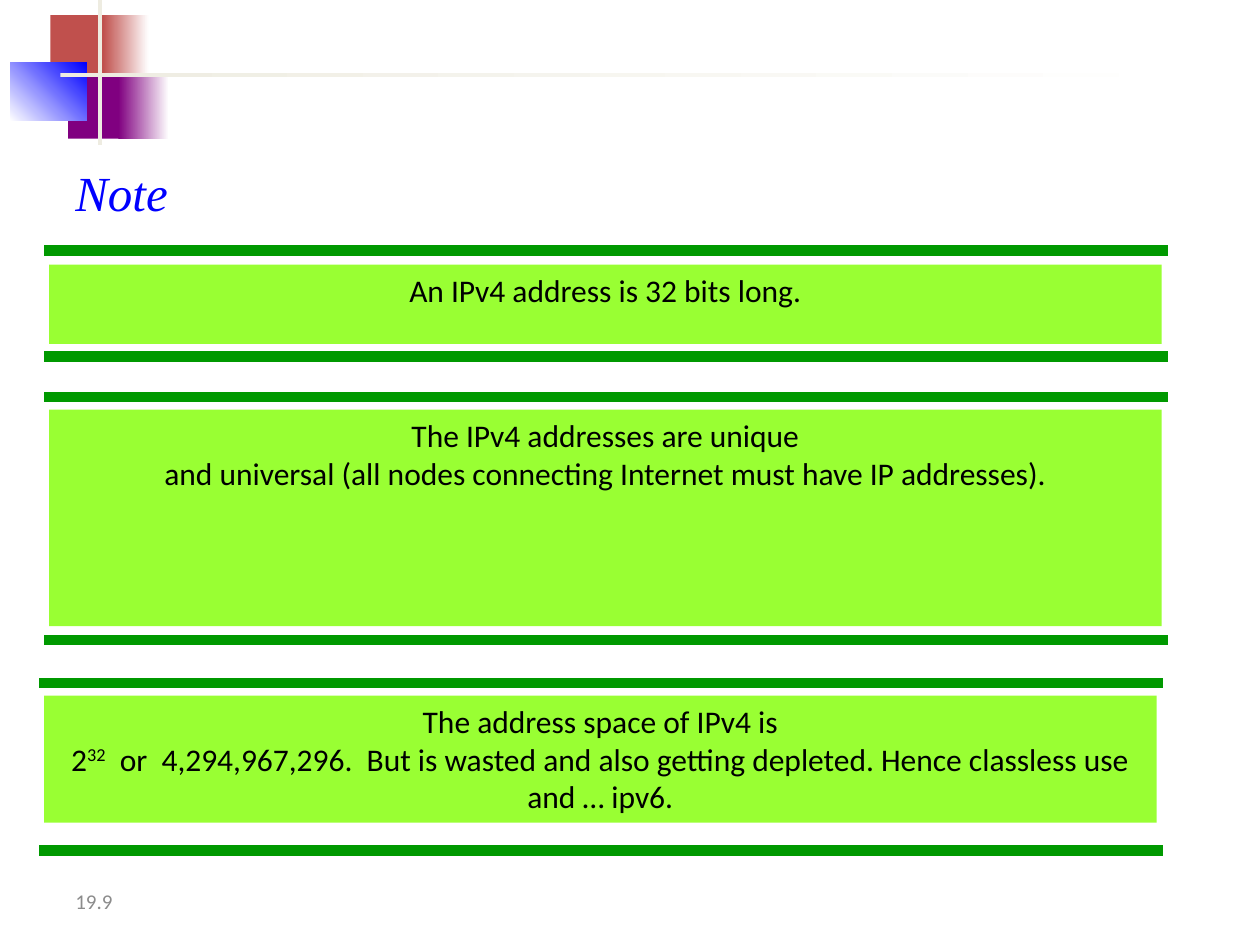
"""Build the IPv4 address note slide with three ruled green panels."""
from lxml import etree
from pptx import Presentation
from pptx.dml.color import RGBColor
from pptx.enum.shapes import MSO_CONNECTOR, MSO_SHAPE
from pptx.enum.text import MSO_ANCHOR, PP_ALIGN
from pptx.oxml.ns import qn
from pptx.util import Inches, Pt

RECTANGLE = MSO_SHAPE.RECTANGLE
STRAIGHT = MSO_CONNECTOR.STRAIGHT
MIDDLE = MSO_ANCHOR.MIDDLE
CENTER = PP_ALIGN.CENTER


def color(value):
    return RGBColor.from_string(value)


def add_span(para, text, size, name, shade, **extra):
    span = para.add_run()
    span.text = text
    for key, value in {"size": Pt(size), "name": name, **extra}.items():
        setattr(span.font, key, value)
    span.font.color.rgb = color(shade)
    return span


deck = Presentation()
deck.slide_width, deck.slide_height = Inches(10), Inches(7.5)
page = deck.slides.add_slide(deck.slide_layouts[6])

decorations = [
    ((0.4, 0.12, 0.48, 0.52), ["C0504D"], 0),
    ((0.82, 0.12, 0.36, 0.52), ["C0504D", "FFFFFF"], 0),
    ((0.54, 0.58, 0.46, 0.52), ["800080"], 0),
    ((0.94, 0.58, 0.4, 0.52), ["800080", "FFFFFF"], 0),
    ((0.08, 0.5, 0.61, 0.46), ["FFFFFF", "0000FF"], 45),
    ((0.78, 0, 0.03, 1.15), ["EEECE1"], 0),
    ((0.48, 0.58, 9, 0.03), ["EEECE1", "FFFFFF"], 0),
]
for place, shades, angle in decorations:
    block = page.shapes.add_shape(RECTANGLE, *map(Inches, place))
    block.shadow.inherit = False
    block.line.fill.background()
    if len(shades) == 1:
        block.fill.solid()
        block.fill.fore_color.rgb = color(shades[0])
    else:
        block.fill.gradient()
        block.fill.gradient_angle = angle
        for stop, shade, position in zip(block.fill.gradient_stops, shades, (0, 1)):
            stop.color.rgb = color(shade)
            stop.position = position

labels = [
    ("Note", (0.5, 1.24, 0.96, 0.57), {"word_wrap": False},
     {"size": 28, "name": "Times New Roman", "shade": "0000FF", "italic": True}),
    ("19.9", (0.5, 6.95, 2.33, 0.4), {"word_wrap": True, "vertical_anchor": MIDDLE},
     {"size": 12, "name": "Calibri", "shade": "8C8C8C"}),
]
for text, place, frame_format, font_format in labels:
    box = page.shapes.add_textbox(*map(Inches, place))
    for key, value in frame_format.items():
        setattr(box.text_frame, key, value)
    add_span(box.text_frame.paragraphs[0], text, **font_format)

panels = [
    (0.39, 2.1, 0.63, (1.99, 2.83), [["An IPv4 address is 32 bits long."]]),
    (0.39, 3.25, 1.72, (3.15, 5.08), [
        ["The IPv4 addresses are unique"],
        ["and universal (all nodes connecting Internet must have IP addresses)."]]),
    (0.35, 5.52, 1.01, (5.42, 6.75), [
        ["The address space of IPv4 is"],
        ["2", "32", "  or  4,294,967,296.  But is wasted and also getting depleted. "
         "Hence classless use and … ipv6."]]),
]
for left, top, height, rules, lines in panels:
    for level in rules:
        start = left - 0.04
        rule = page.shapes.add_connector(
            STRAIGHT, Inches(start), Inches(level), Inches(start + 8.92), Inches(level))
        rule.line.color.rgb = color("009900")
        rule.line.width = Pt(6)
        etree.SubElement(rule._element.spPr, qn("a:effectLst"))
    panel = page.shapes.add_shape(
        RECTANGLE, Inches(left), Inches(top), Inches(8.83), Inches(height))
    panel.shadow.inherit = False
    panel.fill.solid()
    panel.fill.fore_color.rgb = color("99FF33")
    panel.line.fill.background()
    panel.text_frame.word_wrap = True
    panel.text_frame.vertical_anchor = MSO_ANCHOR.TOP
    para = panel.text_frame.paragraphs[0]
    para.alignment = CENTER
    for number, pieces in enumerate(lines):
        if number:
            para.add_line_break()
        for piece in pieces:
            span = add_span(para, piece, 18, "Calibri", "000000")
            if piece == "32":
                span.font._element.set("baseline", "30000")

deck.save("out.pptx")
